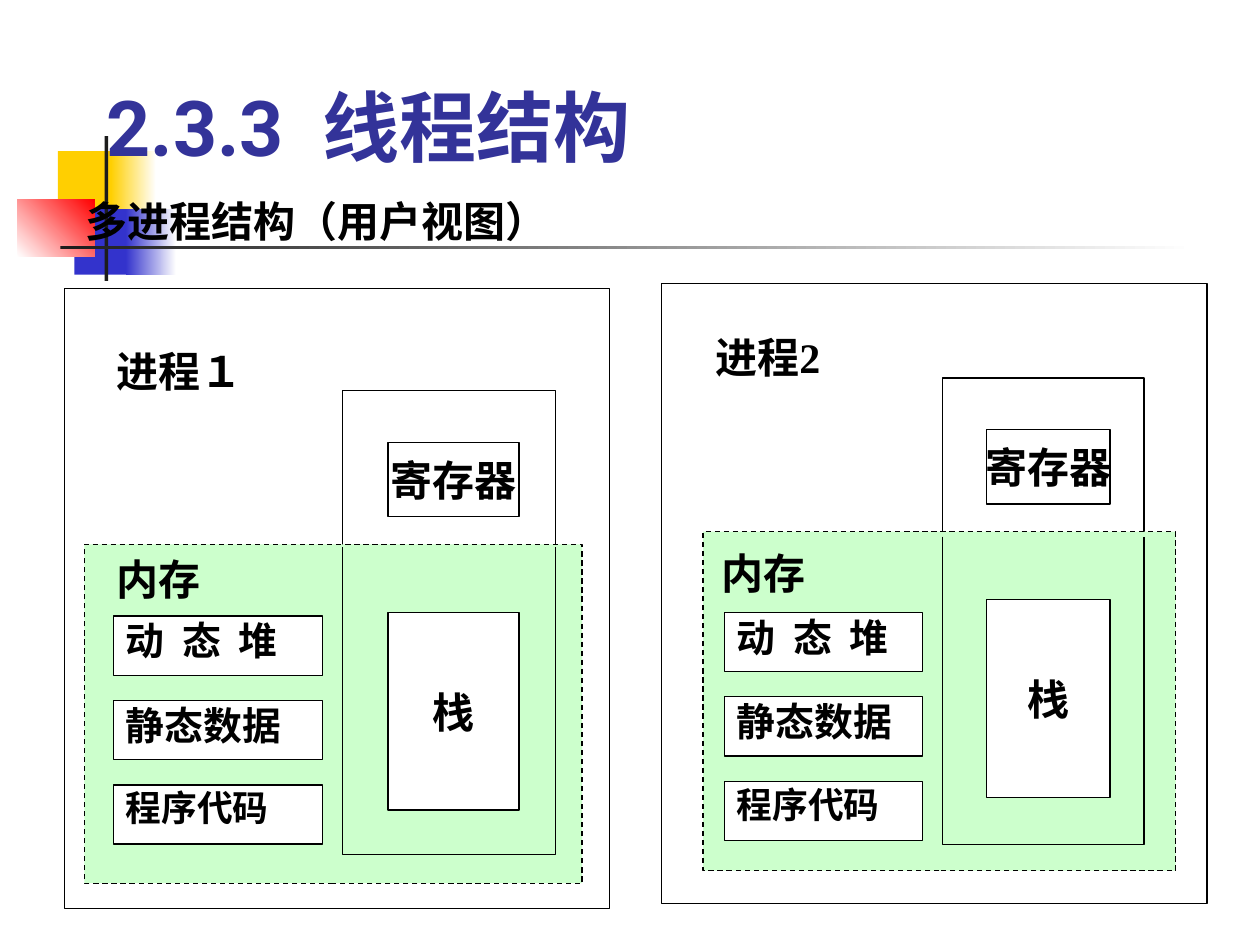
from dataclasses import dataclass

from pptx import Presentation
from pptx.dml.color import RGBColor
from pptx.enum.dml import MSO_LINE
from pptx.enum.shapes import MSO_SHAPE
from pptx.enum.text import MSO_ANCHOR, MSO_AUTO_SIZE, PP_ALIGN
from pptx.util import Inches, Pt

SERIF = "Times New Roman"
SANS = "Roboto"
MEMORY_ROWS = [("动  态  堆", 22.2), ("静态数据", 22.2), ("程序代码", 20.4)]


@dataclass
class Process:
    name: str
    name_at: tuple
    frame_at: tuple
    memory_x: float
    memory_w: float
    label_at: tuple
    rows_at: tuple
    row_w: float
    tower_at: tuple
    tower_w: float
    inner_x: float
    inner_w: float
    outline_y: float


def rgb(value):
    return RGBColor.from_string(value)


def add_box(s, x, y, w, h, fill="FFFFFF", line="000000", dash=None):
    sp = s.shapes.add_shape(MSO_SHAPE.RECTANGLE, Inches(x), Inches(y), Inches(w), Inches(h))
    sp.shadow.inherit = False
    sp.fill.solid()
    sp.fill.fore_color.rgb = rgb(fill)
    if line:
        sp.line.color.rgb = rgb(line)
        sp.line.width = Pt(0.75)
        sp.line.dash_style = dash
    else:
        sp.line.fill.background()
    return sp


def add_fade(s, x, y, w, h, start, end, angle=0):
    sp = add_box(s, x, y, w, h, line=None)
    sp.fill.gradient()
    sp.fill.gradient_angle = angle
    for stop, color in zip(sp.fill.gradient_stops, (start, end)):
        stop.color.rgb = rgb(color)


def write(sp, text, size=24, font=SERIF, color="000000", align=PP_ALIGN.LEFT,
          anchor=MSO_ANCHOR.TOP, wrap=True, spacing=None):
    tf = sp.text_frame
    tf.word_wrap = wrap
    tf.vertical_anchor = anchor
    p = tf.paragraphs[0]
    p.text = text
    p.alignment = align
    p.line_spacing = spacing
    p.font.name = font
    p.font.size = Pt(size)
    p.font.bold = True
    p.font.color.rgb = rgb(color)


def add_text(s, x, y, w, h, text, **style):
    tb = s.shapes.add_textbox(Inches(x), Inches(y), Inches(w), Inches(h))
    write(tb, text, **style)
    tb.text_frame.auto_size = MSO_AUTO_SIZE.NONE


def add_centered_box(s, x, y, w, h, text):
    write(add_box(s, x, y, w, h), text, align=PP_ALIGN.CENTER,
          anchor=MSO_ANCHOR.MIDDLE, wrap=False)


def add_open_outline(s, x, y, w, h):
    fb = s.shapes.build_freeform(Inches(x), Inches(y))
    corners = [(x, y + h), (x + w, y + h), (x + w, y)]
    fb.add_line_segments([(Inches(a), Inches(b)) for a, b in corners], close=False)
    sp = fb.convert_to_shape()
    sp.shadow.inherit = False
    sp.fill.background()
    sp.line.color.rgb = rgb("000000")
    sp.line.width = Pt(0.75)


def add_decoration(s):
    add_box(s, 0.46, 1.2, 0.48, 0.52, "FFCF01", None)
    add_fade(s, 0.88, 1.2, 0.36, 0.52, "FFCF01", "FFFFFF")
    add_box(s, 0.59, 1.66, 0.46, 0.52, "3333CC", None)
    add_fade(s, 1, 1.66, 0.4, 0.52, "3333CC", "FFFFFF")
    add_fade(s, 0.14, 1.58, 0.61, 0.46, "FFFFFF", "FF0000", 45)
    add_box(s, 0.83, 1.08, 0.03, 1.15, "1C1C1C", None)
    add_fade(s, 0.48, 1.95, 9, 0.03, "1C1C1C", "FFFFFF")


def add_process(s, pr):
    tower_x, tower_y = pr.tower_at
    row_x, row_y = pr.rows_at
    add_box(s, *pr.frame_at, 4.33, 4.92)
    add_box(s, tower_x, tower_y, pr.tower_w, 3.75)
    add_box(s, pr.memory_x, tower_y + 1.22, pr.memory_w, 2.69, "CCFFCC", dash=MSO_LINE.DASH)
    for i, (text, size) in enumerate(MEMORY_ROWS):
        row = add_box(s, row_x, row_y + i * 0.67, pr.row_w, 0.47)
        write(row, text, size, spacing=0.9)
    add_centered_box(s, pr.inner_x, tower_y + 1.76, pr.inner_w, 1.57, "栈")
    add_centered_box(s, pr.inner_x, tower_y + 0.41, pr.inner_w, 0.59, "寄存器")
    write(add_box(s, *pr.name_at, line=None), pr.name)
    add_open_outline(s, tower_x, pr.outline_y, pr.tower_w, 2.44)
    add_text(s, *pr.label_at, 1.02, 0.5, "内存", font=SANS)


def main():
    prs = Presentation()
    prs.slide_width, prs.slide_height = Inches(10), Inches(7.5)
    s = prs.slides.add_slide(prs.slide_layouts[6])
    add_decoration(s)
    add_text(s, 0.75, 0.33, 8.5, 1.08, "2.3.3  线程结构", size=44, font=SANS,
             color="333399", anchor=MSO_ANCHOR.BOTTOM)
    add_text(s, 0.58, 1.5, 4.17, 0.5, "多进程结构（用户视图）")
    add_process(s, Process(
        name="进程2", name_at=(5.58, 2.58, 1.08, 0.9), frame_at=(5.25, 2.25),
        memory_x=5.58, memory_w=3.75, label_at=(5.63, 4.3),
        rows_at=(5.75, 4.86), row_w=1.57, tower_at=(7.48, 3), tower_w=1.6,
        inner_x=7.83, inner_w=0.98, outline_y=4.26))
    add_process(s, Process(
        name="进程１", name_at=(0.83, 2.69, 1.22, 0.5), frame_at=(0.51, 2.29),
        memory_x=0.67, memory_w=3.95, label_at=(0.83, 4.34),
        rows_at=(0.9, 4.89), row_w=1.66, tower_at=(2.72, 3.1), tower_w=1.69,
        inner_x=3.08, inner_w=1.04, outline_y=4.34))
    prs.save("out.pptx")


if __name__ == "__main__":
    main()
